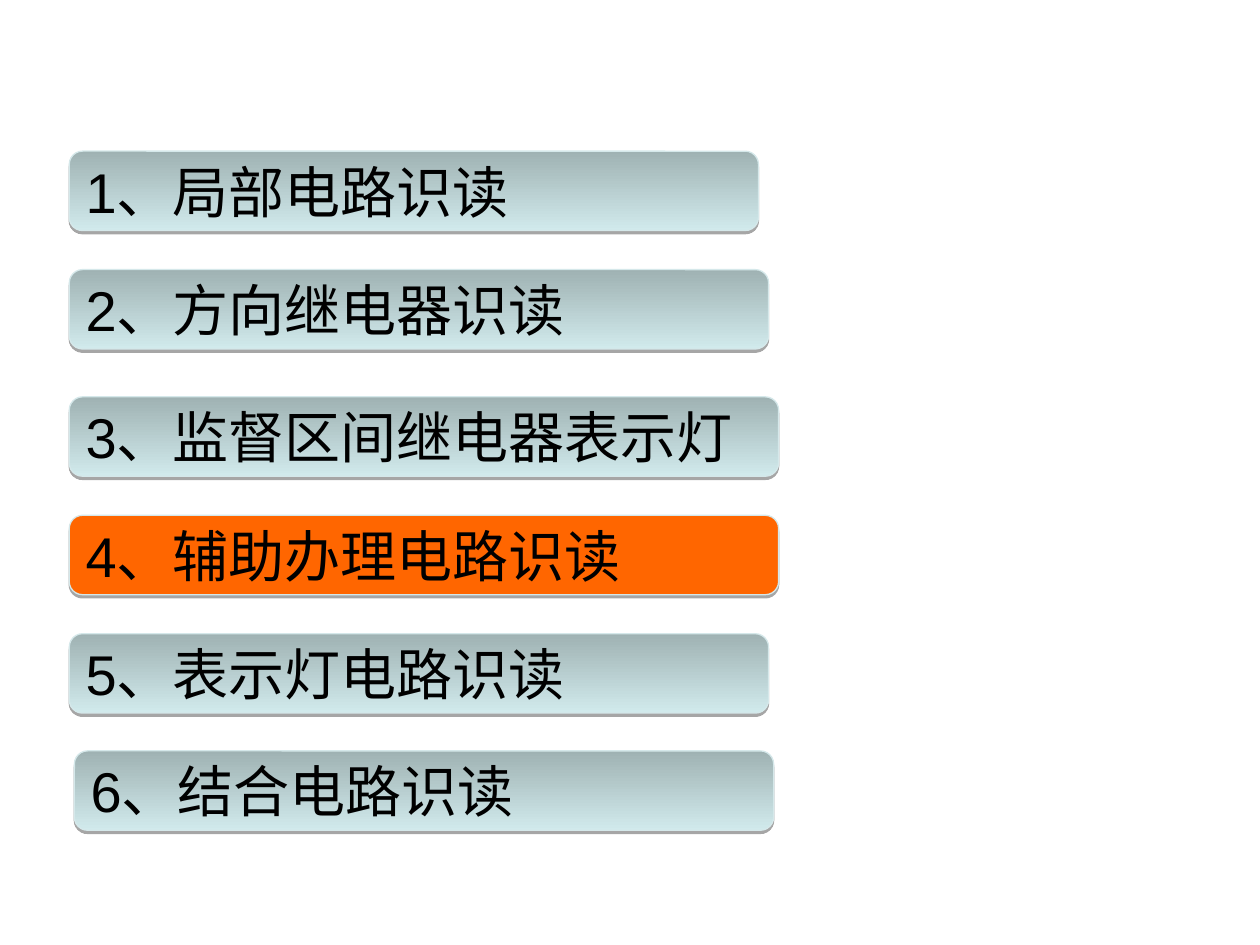
from dataclasses import dataclass

from lxml.etree import SubElement
from pptx import Presentation
from pptx.dml.color import RGBColor
from pptx.enum.shapes import MSO_SHAPE
from pptx.enum.text import MSO_ANCHOR, PP_ALIGN
from pptx.oxml.ns import qn
from pptx.util import Inches, Pt


@dataclass(frozen=True)
class Theme:
    font: str = "Arial"
    text_size: Pt = Pt(32)
    text: RGBColor = RGBColor.from_string("000000")
    bar_top: RGBColor = RGBColor.from_string("9FB2B3")
    bar_bottom: RGBColor = RGBColor.from_string("D1EAEC")
    active: RGBColor = RGBColor.from_string("FF6600")
    outline: RGBColor = RGBColor.from_string("D5E8EA")
    outline_width: Pt = Pt(0.75)
    shadow: str = "000000"
    shadow_opacity: int = 34
    shadow_distance: Pt = Pt(1.8)


THEME = Theme()
ACTIVE_TOPIC = 4
BAR_HEIGHT = 0.63
TOPICS = [
    ("局部电路识读", 0, 0, 5.47),
    ("方向继电器识读", 0, 0.94, 5.55),
    ("监督区间继电器表示灯", 0, 1.95, 5.63),
    ("辅助办理电路识读", 0, 2.89, 5.63),
    ("表示灯电路识读", 0, 3.83, 5.55),
    ("结合电路识读", 0.04, 4.76, 5.55),
]


def add_drop_shadow(shape):
    shape.shadow.inherit = False
    effects = shape._element.spPr.find(qn("a:effectLst"))
    shadow = SubElement(
        effects, qn("a:outerShdw"), blurRad="0", dist=str(THEME.shadow_distance),
        dir=str(90 * 60000), algn="ctr", rotWithShape="0",
    )
    color = SubElement(shadow, qn("a:srgbClr"), val=THEME.shadow)
    SubElement(color, qn("a:alpha"), val=str(THEME.shadow_opacity * 1000))


def fill_bar(shape, active):
    if active:
        shape.fill.solid()
        shape.fill.fore_color.rgb = THEME.active
        return
    shape.fill.gradient()
    shape.fill.gradient_angle = 270
    stops = zip(shape.fill.gradient_stops, (THEME.bar_top, THEME.bar_bottom))
    for position, (stop, color) in enumerate(stops):
        stop.position = position
        stop.color.rgb = color


def add_topic_bar(slide, text, left, top, width, height, active):
    shape = slide.shapes.add_shape(
        MSO_SHAPE.ROUNDED_RECTANGLE,
        Inches(left), Inches(top), Inches(width), Inches(height),
    )
    fill_bar(shape, active)
    shape.line.color.rgb = THEME.outline
    shape.line.width = THEME.outline_width
    add_drop_shadow(shape)

    frame = shape.text_frame
    frame.word_wrap = True
    frame.vertical_anchor = MSO_ANCHOR.MIDDLE
    paragraph = frame.paragraphs[0]
    paragraph.text = text
    paragraph.alignment = PP_ALIGN.LEFT
    paragraph.font.name = THEME.font
    paragraph.font.size = THEME.text_size
    paragraph.font.color.rgb = THEME.text


def add_topic_list(slide, left, top):
    for number, (title, indent, offset, width) in enumerate(TOPICS, start=1):
        add_topic_bar(
            slide, f"{number}、{title}", left + indent, top + offset,
            width, BAR_HEIGHT, number == ACTIVE_TOPIC,
        )


def main():
    presentation = Presentation()
    presentation.slide_width = Inches(10)
    presentation.slide_height = Inches(7.5)
    slide = presentation.slides.add_slide(presentation.slide_layouts[6])
    add_topic_list(slide, left=0.55, top=1.2)
    presentation.save("out.pptx")


if __name__ == "__main__":
    main()
